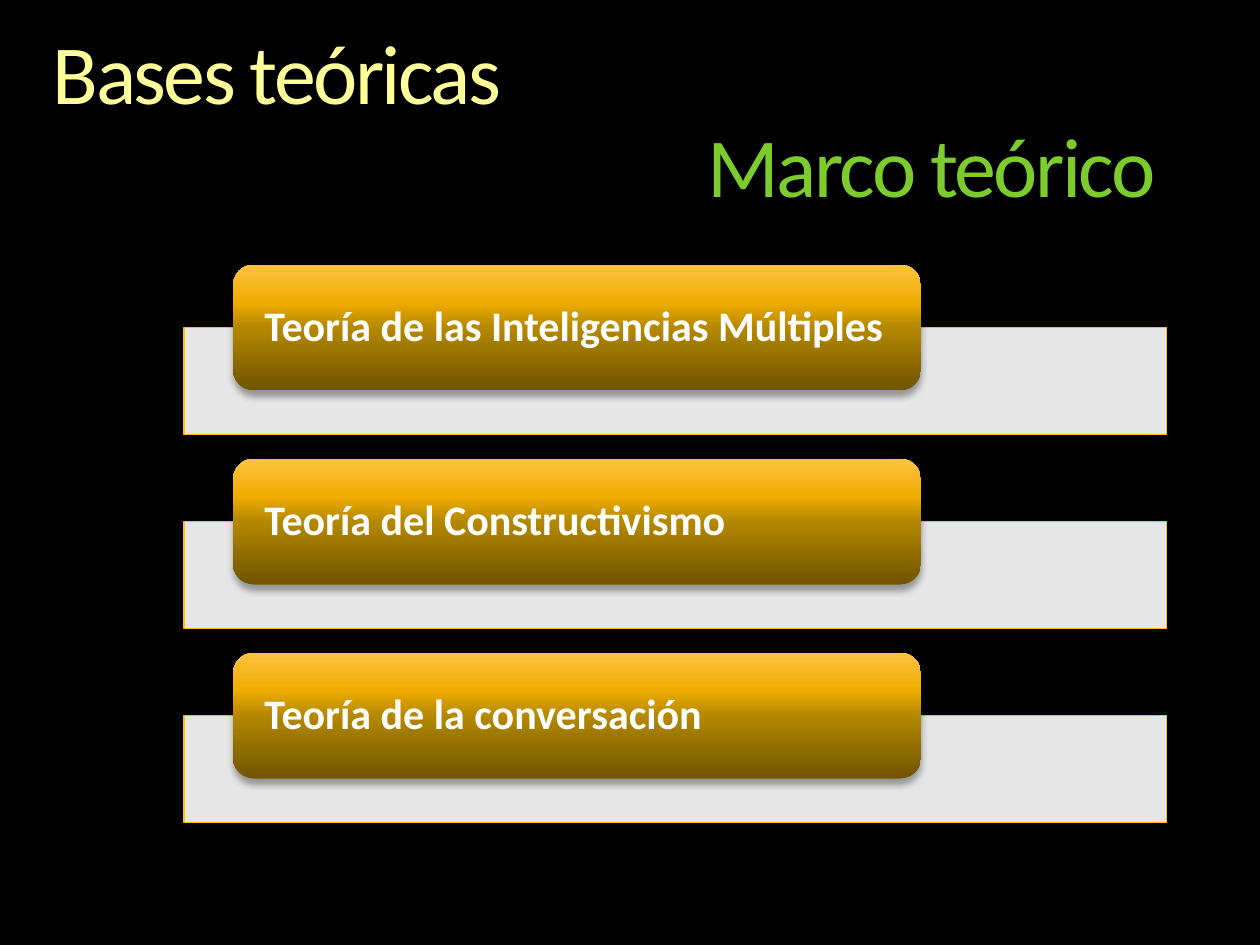
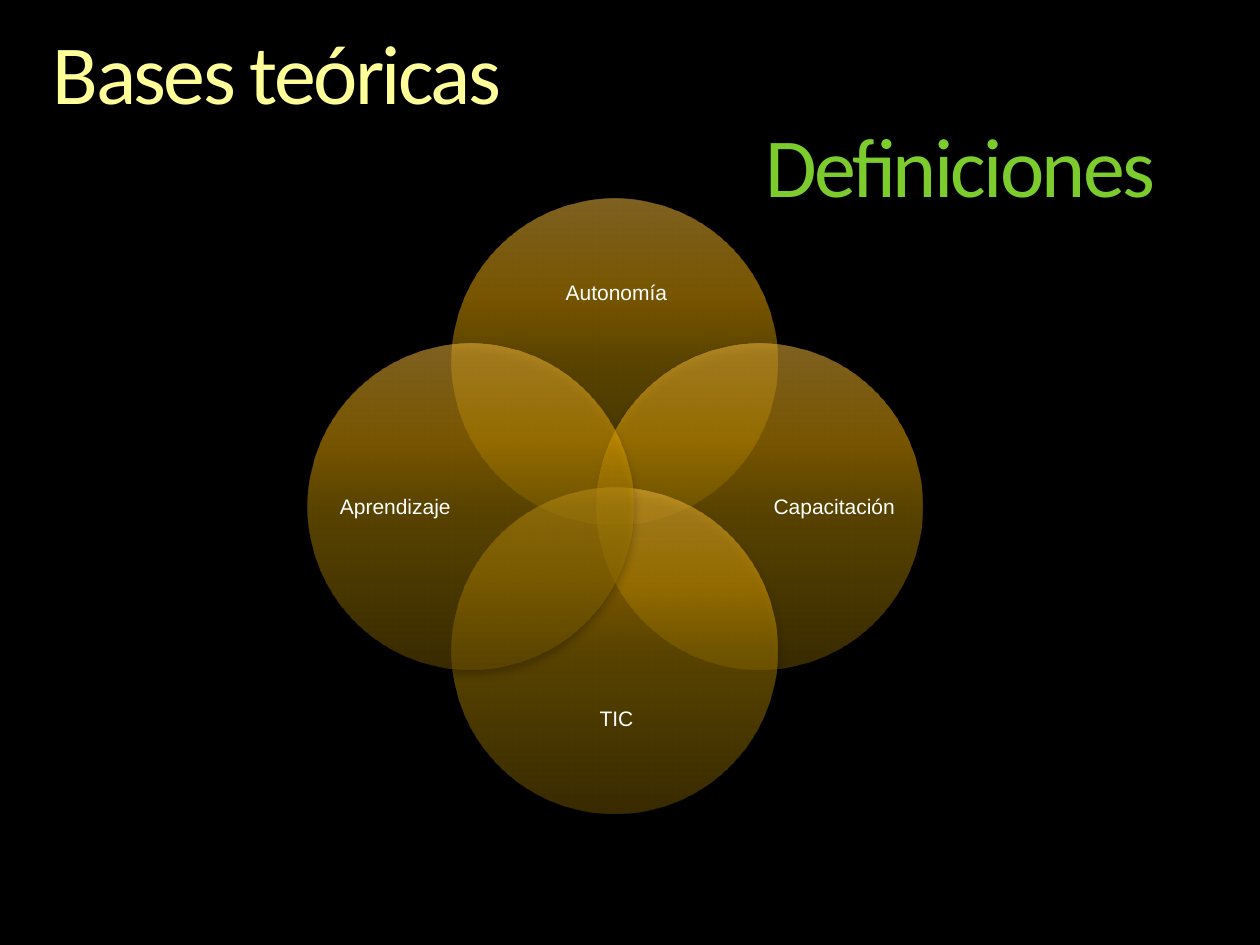
from collections import namedtuple
from lxml import etree
from pptx import Presentation
from pptx.dml.color import RGBColor
from pptx.enum.shapes import MSO_SHAPE as Shape
from pptx.enum.text import MSO_ANCHOR as Anchor, MSO_AUTO_SIZE as AutoSize, PP_ALIGN as Align
from pptx.oxml.ns import qn
from pptx.util import Inches, Pt

COLORS = {
    "background": "000000", "subtitle": "7DCC2E", "text": "FFFFFF",
    "bar": "FFFFFF", "bar_line": "FFC000", "shadow": "000000",
}
TITLE_STOPS = [(0, "FFFFB9"), (36, "FFFF99"), (86, "F6AE1E")]
GOLD_STOPS = [(0, "705400"), (50, "B48800"), (70, "F0AC00"), (100, "FFC342")]
TITLE = "Bases teóricas"


class Box(namedtuple("Box", "left top width height")):
    """A rectangle in inches."""

    def inner(self, left, top, width, height):
        """The box at the given shares of this one."""
        return Box(self.left + left * self.width, self.top + top * self.height,
                   width * self.width, height * self.height)

    def lengths(self):
        return [Inches(length) for length in self]


SLIDE = Box(0, 0, 10, 7.5)
TITLE_BOX = Box(0.42, 0.25, 9.17, 0.73)
SUBTITLE_BOX = Box(0.98, 0.99, 8.19, 0.73)
THEORY_BOX = Box(1.46, 2.1, 7.8, 4.43)
VENN_BOX = Box(2.44, 1.58, 4.88, 4.88)


# Colour and effects
def rgb(name):
    return RGBColor.from_string(COLORS[name])


def add_color(parent, value, opacity=100):
    color = etree.SubElement(parent, qn("a:srgbClr"), val=value)
    if opacity < 100:
        etree.SubElement(color, qn("a:alpha"), val=str(opacity * 1000))


def set_gradient(fill, owner, stops, angle, opacity=100):
    """Fill with colour stops; owner is the element that holds the fill."""
    fill.gradient()
    fill.gradient_angle = angle
    stop_list = owner.find(qn("a:gradFill")).find(qn("a:gsLst"))
    for old_stop in list(stop_list):
        stop_list.remove(old_stop)
    for position, value in stops:
        stop = etree.SubElement(stop_list, qn("a:gs"), pos=str(position * 1000))
        add_color(stop, value, opacity)


def set_shadow(shape, opacity, blur):
    shape.shadow.inherit = False
    effects = shape._element.spPr.find(qn("a:effectLst"))
    shadow = etree.SubElement(effects, qn("a:outerShdw"), blurRad=str(Pt(blur)),
                              dist=str(Pt(3)), dir="5400000", rotWithShape="0")
    add_color(shadow, COLORS["shadow"], opacity)


# Text and shapes
def write(shape, text, size, font="Calibri", align=Align.LEFT, anchor=Anchor.MIDDLE,
          bold=False, color="text", inset=0):
    frame = shape.text_frame
    frame.word_wrap = True
    frame.vertical_anchor = anchor
    frame.margin_left = frame.margin_right = Inches(inset)
    frame.margin_top = frame.margin_bottom = 0
    paragraph = frame.paragraphs[0]
    paragraph.alignment = align
    paragraph.line_spacing = 0.9
    run = paragraph.add_run()
    run.text = text
    run.font.name, run.font.size, run.font.bold = font, Pt(size), bold
    run.font.color.rgb = rgb(color)
    return run


def write_heading(shape, text, align):
    run = write(shape, text, 48, align=align, anchor=Anchor.TOP, color="subtitle")
    run._r.get_or_add_rPr().set("spc", "-150")
    shape.text_frame.auto_size = AutoSize.SHAPE_TO_FIT_TEXT
    return run


def add_gold_shape(slide, kind, box, shadow_opacity, blur, opacity=100):
    shape = slide.shapes.add_shape(kind, *box.lengths())
    set_gradient(shape.fill, shape._element.spPr, GOLD_STOPS, 90, opacity)
    shape.line.fill.background()
    set_shadow(shape, shadow_opacity, blur)
    return shape


# Slide regions
def add_titled_slide(presentation, subtitle):
    slide = presentation.slides.add_slide(presentation.slide_layouts[5])
    title = slide.shapes.title
    title.left, title.top, title.width, title.height = TITLE_BOX.lengths()
    run = write_heading(title, TITLE, Align.LEFT)
    set_gradient(run.font.fill, run._r.rPr, TITLE_STOPS, 270)
    subtitle_shape = slide.shapes.add_textbox(*SUBTITLE_BOX.lengths())
    write_heading(subtitle_shape, subtitle, Align.RIGHT)
    return slide


def add_theory(slide, box, name):
    """A pale bar with a gold label over its upper edge."""
    bar = slide.shapes.add_shape(Shape.RECTANGLE, *box.inner(0, 0.37, 1, 0.63).lengths())
    bar.fill.solid()
    bar.fill.fore_color.rgb = rgb("bar")
    bar_color = bar._element.spPr.find(qn("a:solidFill"))[0]
    etree.SubElement(bar_color, qn("a:alpha"), val="90000")
    bar.line.color.rgb = rgb("bar_line")
    bar.line.width = Pt(0.75)
    set_shadow(bar, 35, 4)
    label = add_gold_shape(slide, Shape.ROUNDED_RECTANGLE,
                           box.inner(0.05, 0, 0.7, 0.74), 35, 4)
    write(label, name, 24, bold=True, inset=0.2)


def add_theory_list(slide, box, names):
    gap = 0.19
    row_height = (box.height - gap * (len(names) - 1)) / len(names)
    for row, name in enumerate(names):
        top = box.top + row * (row_height + gap)
        add_theory(slide, Box(box.left, top, box.width, row_height), name)


def add_venn(slide, box, circles):
    """Overlapping circles, each with a label in its outer area."""
    diameter = 0.53
    travel = 1 - diameter
    for name, column, row, label_share in circles:
        circle = box.inner(column * travel, row * travel, diameter, diameter)
        add_gold_shape(slide, Shape.OVAL, circle, 45, 5, opacity=50)
        label = slide.shapes.add_textbox(*circle.inner(*label_share).lengths())
        write(label, name, 12, font="Arial", align=Align.CENTER)


def main():
    presentation = Presentation()
    presentation.slide_width = Inches(SLIDE.width)
    presentation.slide_height = Inches(SLIDE.height)
    background = presentation.slide_master.background.fill
    background.solid()
    background.fore_color.rgb = rgb("background")

    theory_slide = add_titled_slide(presentation, "Marco teórico")
    add_theory_list(theory_slide, THEORY_BOX, [
        "Teoría de las Inteligencias Múltiples",
        "Teoría del Constructivismo",
        "Teoría de la conversación",
    ])

    # Name, place across and down, label as shares of the circle
    definition_slide = add_titled_slide(presentation, "Definiciones")
    add_venn(definition_slide, VENN_BOX, [
        ("Autonomía", 0.5, 0, (0.12, 0.13, 0.77, 0.32)),
        ("Capacitación", 1, 0.5, (0.54, 0.12, 0.38, 0.77)),
        ("TIC", 0.5, 1, (0.12, 0.55, 0.77, 0.32)),
        ("Aprendizaje", 0, 0.5, (0.08, 0.12, 0.38, 0.77)),
    ])
    presentation.save("out.pptx")


if __name__ == "__main__":
    main()
